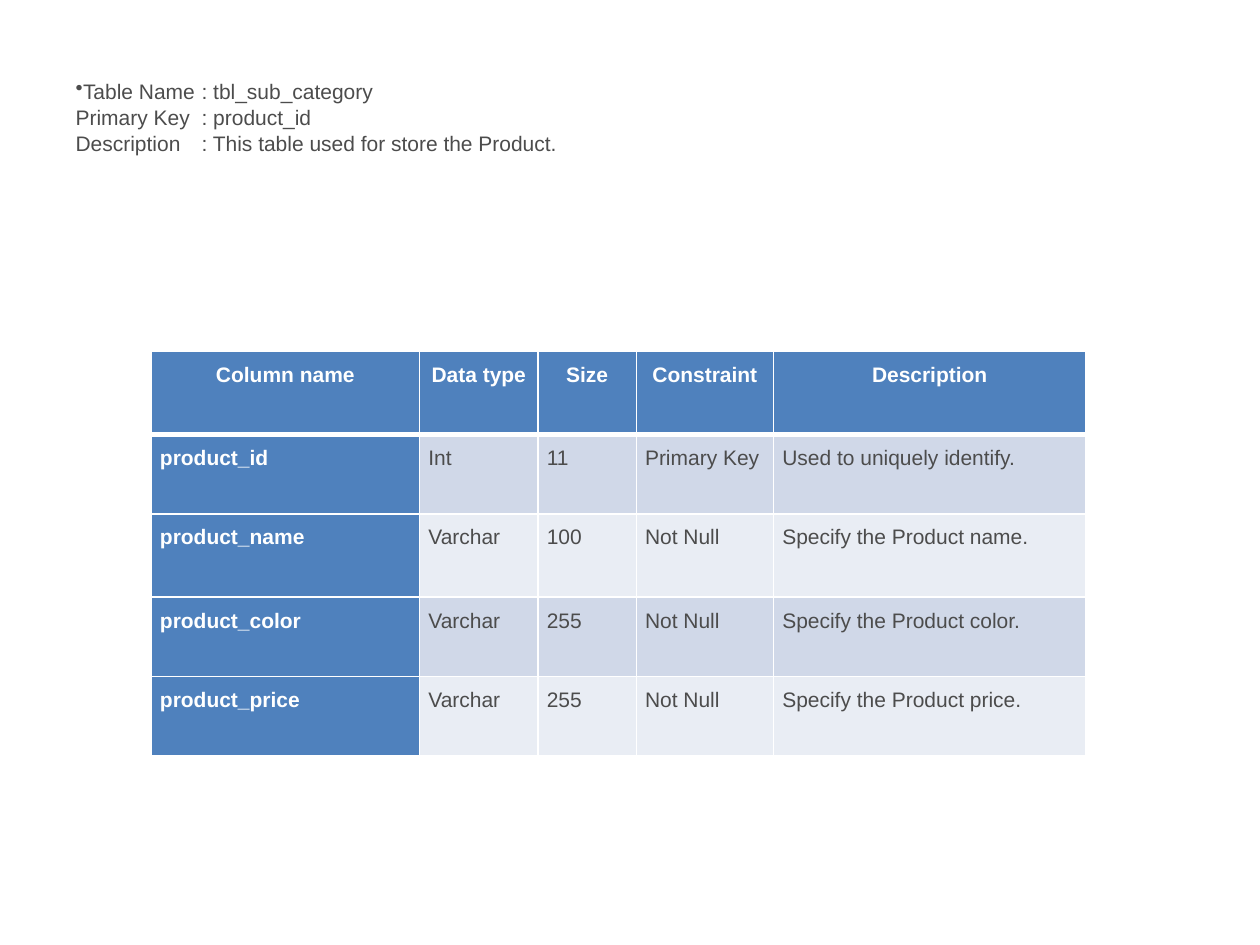
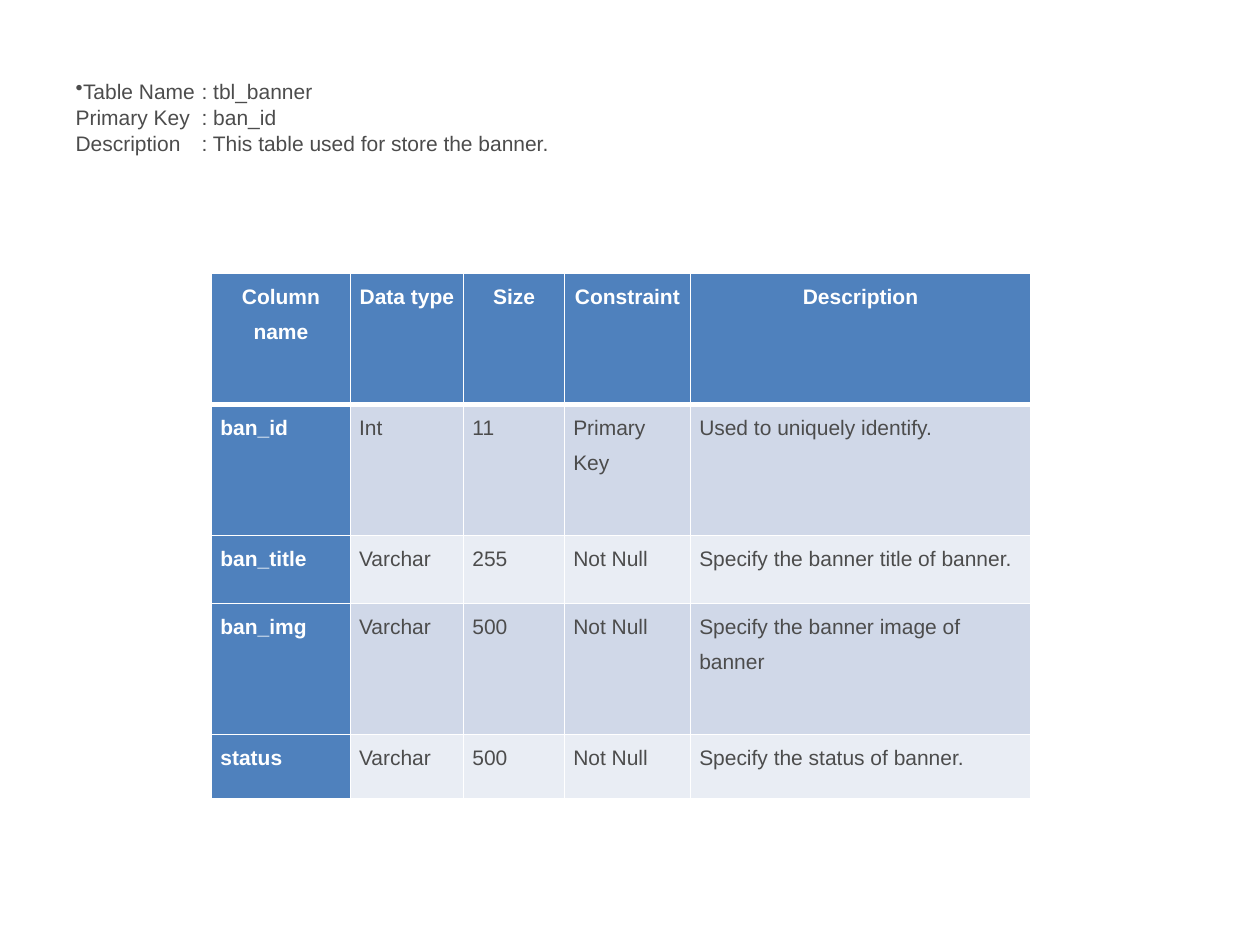
import pptx
import pptx.dml.color
import pptx.enum.text
import pptx.oxml.ns
import pptx.util
from lxml import etree

Inches = pptx.util.Inches
Pt = pptx.util.Pt
ALIGN = pptx.enum.text.PP_ALIGN

# Shared style
FONT = "Arial"
SIZE = 12
WHITE = "FFFFFF"
GREY = "4C4C4C"
BLUE = "4F81BD"
BANDS = ("D0D8E8", "E9EDF4")
COLON_STOP = 1.0
HEADINGS = ("Column name", "Data type", "Size", "Constraint", "Description")


def color(value):
    return pptx.dml.color.RGBColor.from_string(value)


def add_element(parent, tag, **attributes):
    element = etree.SubElement(parent, pptx.oxml.ns.qn(tag))
    for name, value in attributes.items():
        element.set(name, str(value))
    return element


def write_text(para, text, ink=GREY, bold=False, align=ALIGN.LEFT,
               line_spacing=1.0, space_after=0):
    para.alignment = align
    para.line_spacing = line_spacing
    para.space_before = Pt(0)
    para.space_after = Pt(space_after)
    span = para.add_run()
    span.text = text
    span.font.name = FONT
    span.font.size = Pt(SIZE)
    span.font.bold = bold
    span.font.color.rgb = color(ink)


def add_summary(page, place, table_name, primary_key, description):
    """Fill the title with the facts about one database table."""
    box = page.shapes.title
    box.left, box.top, box.width, box.height = map(Inches, place)
    frame = box.text_frame
    frame.word_wrap = True
    frame.auto_size = pptx.enum.text.MSO_AUTO_SIZE.NONE
    frame.vertical_anchor = pptx.enum.text.MSO_ANCHOR.MIDDLE
    facts = (("Table Name", table_name), ("Primary Key", primary_key),
             ("Description", description))
    for index, (label, value) in enumerate(facts):
        para = frame.paragraphs[0] if index == 0 else frame.add_paragraph()
        write_text(para, f"{label}\t: {value}", line_spacing=1.05)
        properties = para._p.get_or_add_pPr()
        properties.set("marL", "0")
        properties.set("indent", "0")
        if index == 0:
            add_element(properties, "a:buChar", char="•")
        stops = add_element(properties, "a:tabLst")
        add_element(stops, "a:tab", pos=Inches(COLON_STOP), algn="l")


def set_borders(cell, **widths):
    properties = cell._tc.get_or_add_tcPr()
    for side in ("L", "R", "T", "B"):
        line = add_element(properties, f"a:ln{side}", w=Pt(widths.get(side, 1)))
        fill = add_element(line, "a:solidFill")
        add_element(fill, "a:srgbClr", val=WHITE)


def style_cell(cell, text, row, column):
    is_header = row == 0
    is_label = is_header or column == 0
    cell.margin_left = cell.margin_right = Inches(0.07)
    cell.margin_top = cell.margin_bottom = 0
    # A thick rule parts the header from the rows below
    set_borders(cell, B=3 if is_header else 1, T=3 if row == 1 else 1)
    cell.fill.solid()
    cell.fill.fore_color.rgb = color(BLUE if is_label else BANDS[(row - 1) % 2])
    write_text(cell.text_frame.paragraphs[0], text,
               ink=WHITE if is_label else GREY, bold=is_label,
               align=ALIGN.CENTER if is_header else ALIGN.LEFT,
               line_spacing=1.5, space_after=8)


def add_schema(page, left, top, widths, heights, fields):
    """Draw the table that lists the fields."""
    rows = (HEADINGS, *fields)
    table = page.shapes.add_table(
        len(rows), len(HEADINGS), Inches(left), Inches(top),
        Inches(sum(widths)), Inches(sum(heights))).table
    for column, width in zip(table.columns, widths):
        column.width = Inches(width)
    for row, height in zip(table.rows, heights):
        row.height = Inches(height)
    for row, texts in enumerate(rows):
        for column, text in enumerate(texts):
            style_cell(table.cell(row, column), text, row, column)


def main():
    deck = pptx.Presentation()
    deck.slide_width = Inches(10)
    deck.slide_height = Inches(7.5)
    title_only = deck.slide_layouts[5]

    # Product table
    page = deck.slides.add_slide(title_only)
    add_summary(page, (0.5, 0.57, 4.08, 0.71), "tbl_sub_category", "product_id",
                "This table used for store the Product.")
    add_schema(page, 1.2, 2.79, (2.13, 0.94, 0.78, 1.09, 2.48),
               (0.66, 0.63, 0.66, 0.63, 0.63), (
        ("product_id", "Int", "11", "Primary Key", "Used to uniquely identify."),
        ("product_name", "Varchar", "100", "Not Null", "Specify the Product name."),
        ("product_color", "Varchar", "255", "Not Null", "Specify the Product color."),
        ("product_price", "Varchar", "255", "Not Null", "Specify the Product price."),
    ))

    # Banner table
    page = deck.slides.add_slide(title_only)
    add_summary(page, (0.5, 0.3, 9, 1.25), "tbl_banner", "ban_id",
                "This table used for store the banner.")
    add_schema(page, 1.68, 2.17, (1.1, 0.9, 0.8, 1, 2.7),
               (1.04, 1.04, 0.54, 1.04, 0.51), (
        ("ban_id", "Int", "11", "Primary Key", "Used to uniquely identify."),
        ("ban_title", "Varchar", "255", "Not Null", "Specify the banner title of banner."),
        ("ban_img", "Varchar", "500", "Not Null", "Specify the banner image of banner"),
        ("status", "Varchar", "500", "Not Null", "Specify the status of banner."),
    ))

    deck.save("out.pptx")


if __name__ == "__main__":
    main()
